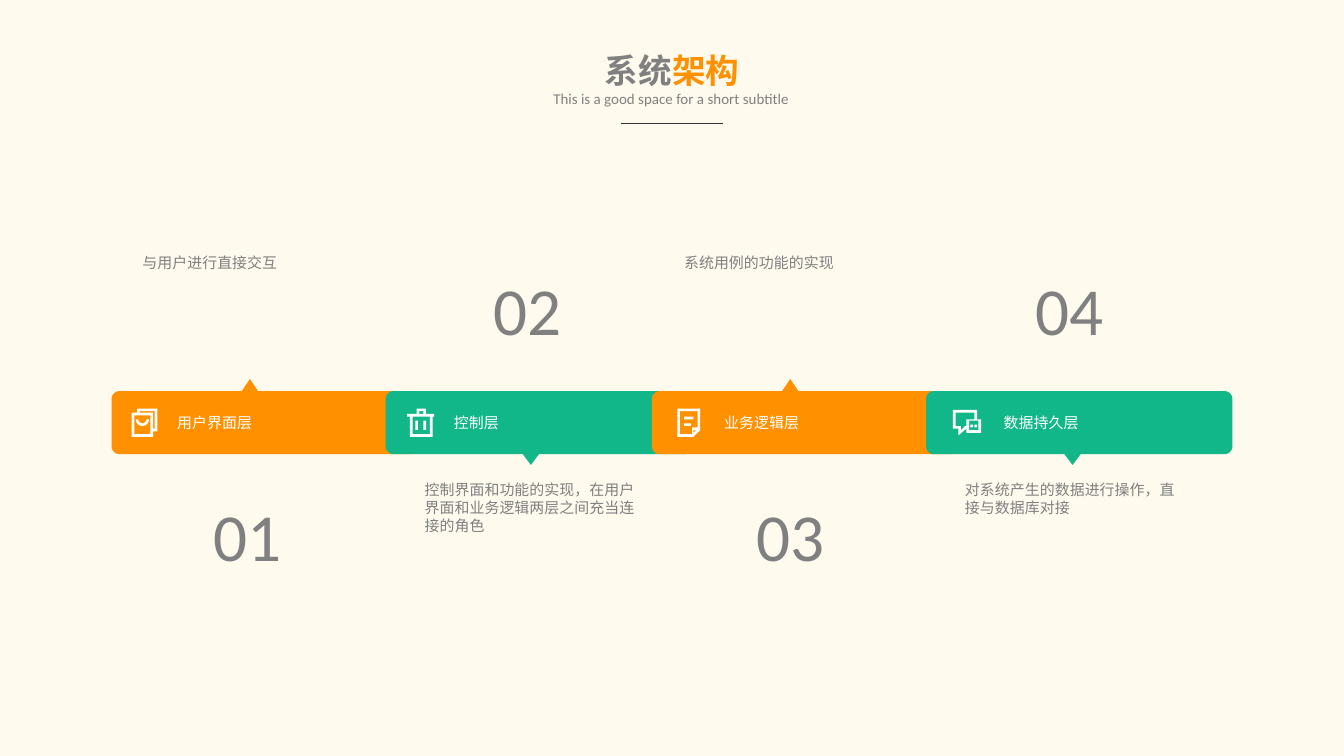
from math import cos, sin, radians
from lxml.etree import SubElement
from pptx import Presentation
from pptx.dml.color import RGBColor
from pptx.enum.shapes import MSO_CONNECTOR, MSO_SHAPE
from pptx.enum.text import MSO_AUTO_SIZE, PP_ALIGN
from pptx.oxml.ns import qn
from pptx.util import Inches, Pt

ORANGE, GREEN, GREY, WHITE = 'FF9101', '12B789', '808080', 'FFFFFF'


def rgb(value):
    return RGBColor.from_string(value)


def rect(x1, y1, x2, y2):
    return [(x1, y1), (x2, y1), (x2, y2), (x1, y2)]


def arc(cx, cy, radius, start, end, steps=8):
    angles = [radians(start + (end - start) * i / steps) for i in range(steps + 1)]
    return [(cx + radius * cos(a), cy + radius * sin(a)) for a in angles]


class Deck:
    font = {'name': 'Calibri', 'size': Pt(8), 'bold': False}

    def __init__(self, prs, background):
        self.s = prs.slides.add_slide(prs.slide_layouts[6])
        self.s.background.fill.solid()
        self.s.background.fill.fore_color.rgb = rgb(background)

    def paint(self, sp, color):
        sp.shadow.inherit = False
        sp.fill.solid()
        sp.fill.fore_color.rgb = rgb(color)
        sp.line.fill.background()

    def outline(self, contours, color, shapes=None):
        shapes = self.s.shapes if shapes is None else shapes
        paths = [[(Inches(x), Inches(y)) for x, y in c] for c in contours]
        builder = shapes.build_freeform(*paths[0][0])
        builder.add_line_segments(paths[0][1:])
        for path in paths[1:]:
            builder.move_to(*path[0])
            builder.add_line_segments(path[1:])
        self.paint(builder.convert_to_shape(), color)

    def banner(self, x, tip, up, color):
        top, bottom, right, r = 2.91, 3.38, x + 2.28, 0.06
        edge, peak = (top, 2.82) if up else (bottom, 3.46)
        pointer = [(tip - 0.06, edge), (tip, peak), (tip + 0.06, edge)]
        points = arc(x + r, top + r, r, 180, 270)
        points += pointer if up else []
        points += arc(right - r, top + r, r, 270, 360)
        points += arc(right - r, bottom - r, r, 0, 90)
        points += [] if up else pointer[::-1]
        points += arc(x + r, bottom - r, r, 90, 180)
        self.outline([points], color)

    def icon(self, outlines, bars):
        shapes = self.s.shapes.add_group_shape().shapes
        for contours in outlines:
            self.outline(contours, WHITE, shapes)
        for box in bars:
            sp = shapes.add_shape(MSO_SHAPE.RECTANGLE, *map(Inches, box))
            self.paint(sp, WHITE)

    def text(self, box, runs, wrap=False, align=PP_ALIGN.LEFT, **style):
        tf = self.s.shapes.add_textbox(*map(Inches, box)).text_frame
        frame = {'word_wrap': wrap, 'auto_size': MSO_AUTO_SIZE.SHAPE_TO_FIT_TEXT}
        if wrap:
            frame.update(dict.fromkeys(
                ('margin_left', 'margin_top', 'margin_right', 'margin_bottom'), 0))
        for name, value in frame.items():
            setattr(tf, name, value)
        p = tf.paragraphs[0]
        p.alignment = align
        for content, color in runs:
            r = p.add_run()
            r.text = content
            for name, value in {**self.font, **style}.items():
                setattr(r.font, name, value)
            r.font.color.rgb = rgb(color)

    def rule(self, x1, y1, x2, y2, color, width):
        line = self.s.shapes.add_connector(
            MSO_CONNECTOR.STRAIGHT, *map(Inches, (x1, y1, x2, y2)))
        line.line.color.rgb = rgb(color)
        line.line.width = Pt(width)
        SubElement(line._element.spPr, qn('a:effectLst'))


NOTE = ([
    [(5.04, 3.04), (5.04, 3.25), (5.16, 3.25), (5.21, 3.2), (5.21, 3.04)],
    [(5.06, 3.06), (5.19, 3.06), (5.19, 3.18), (5.15, 3.18), (5.15, 3.23), (5.06, 3.23)],
    [(5.18, 3.2), (5.16, 3.22), (5.16, 3.2)],
],), [(5.09, 3.1, 0.07, 0.02), (5.09, 3.15, 0.05, 0.02)]

CHAT = ([
    [(7.27, 3.12), (7.27, 3.05), (7.09, 3.05), (7.09, 3.19), (7.13, 3.19), (7.13, 3.24),
     (7.19, 3.19), (7.19, 3.22), (7.3, 3.22), (7.3, 3.12)],
    [(7.18, 3.17), (7.15, 3.2), (7.15, 3.17), (7.11, 3.17), (7.11, 3.07), (7.25, 3.07),
     (7.25, 3.12), (7.19, 3.12), (7.19, 3.17)],
    rect(7.21, 3.13, 7.28, 3.2),
],), [(x, 3.16, 0.02, 0.02) for x in (7.22, 7.25)]

BIN = ([
    [(3.23, 3.08), (3.17, 3.08), (3.17, 3.04), (3.1, 3.04), (3.1, 3.08), (3.03, 3.08),
     (3.03, 3.1), (3.05, 3.1), (3.05, 3.25), (3.22, 3.25), (3.22, 3.1), (3.23, 3.1)],
    rect(3.12, 3.06, 3.15, 3.08),
    rect(3.07, 3.1, 3.2, 3.23),
],), [(x, 3.13, 0.02, 0.07) for x in (3.09, 3.15)]

SMILE = [arc(1.06, 3.12, 0.03, 0, 180) + arc(1.06, 3.12, 0.05, 180, 0)]
BAG = (SMILE, [
    [(1.17, 3.04), (1.02, 3.04), (1.02, 3.07), (0.98, 3.07), (0.98, 3.25), (1.14, 3.25),
     (1.14, 3.21), (1.17, 3.21)],
    rect(1, 3.09, 1.12, 3.23),
    [(1.15, 3.19), (1.14, 3.19), (1.14, 3.07), (1.04, 3.07), (1.04, 3.06), (1.15, 3.06)],
]), []

LAYERS = [
    (0.83, 1.86, 1.22, 0.76, 1.06, 1.49, '用户界面层', '与用户进行直接交互', 0.13),
    (2.87, 3.95, 3.28, 0.54, 3.16, 3.57, '控制层',
     '控制界面和功能的实现，在用户界面和业务逻辑两层之间充当连接的角色', 0.4),
    (4.85, 5.88, 5.29, 0.76, 5.09, 5.53, '业务逻辑层', '系统用例的功能的实现', 0.13),
    (6.89, 7.98, 7.37, 0.76, 7.18, 7.61, '数据持久层',
     '对系统产生的数据进行操作，直接与数据库对接', 0.27),
]

prs = Presentation()
prs.slide_width, prs.slide_height = Inches(10), Inches(10 * 9 / 16)
deck = Deck(prs, 'FEFAEE')

for i, (x, tip, *_) in enumerate(LAYERS):
    deck.banner(x, tip, i % 2 == 0, GREEN if i % 2 else ORANGE)
for outlines, bars in (NOTE, CHAT, BIN, BAG):
    deck.icon(outlines, bars)
for _, _, x, width, _, _, name, _, _ in LAYERS:
    deck.text((x, 3.03, width, 0.24), [(name, WHITE)])
for first in (0, 1):
    for _, _, _, _, x, _, _, note, height in LAYERS[first::2]:
        deck.text((x, 3.58 if first else 1.89, 1.57, height), [(note, GREY)], wrap=True)
for first in (0, 1):
    for i in range(first, len(LAYERS), 2):
        deck.text((LAYERS[i][5], 1.95 if first else 3.63, 0.71, 0.71),
                  [(f'{i + 1:02}', GREY)], size=Pt(36))

deck.text((4.39, 0.32, 1.22, 0.4), [('系统', GREY), ('架构', ORANGE)],
          align=PP_ALIGN.CENTER, size=Pt(18), bold=True)
deck.text((4.01, 0.62, 1.97, 0.24), [('This is a good space for a short subtitle', GREY)],
          align=PP_ALIGN.CENTER)
deck.rule(4.62, 0.92, 5.38, 0.92, '333333', 0.5)

prs.save("out.pptx")
